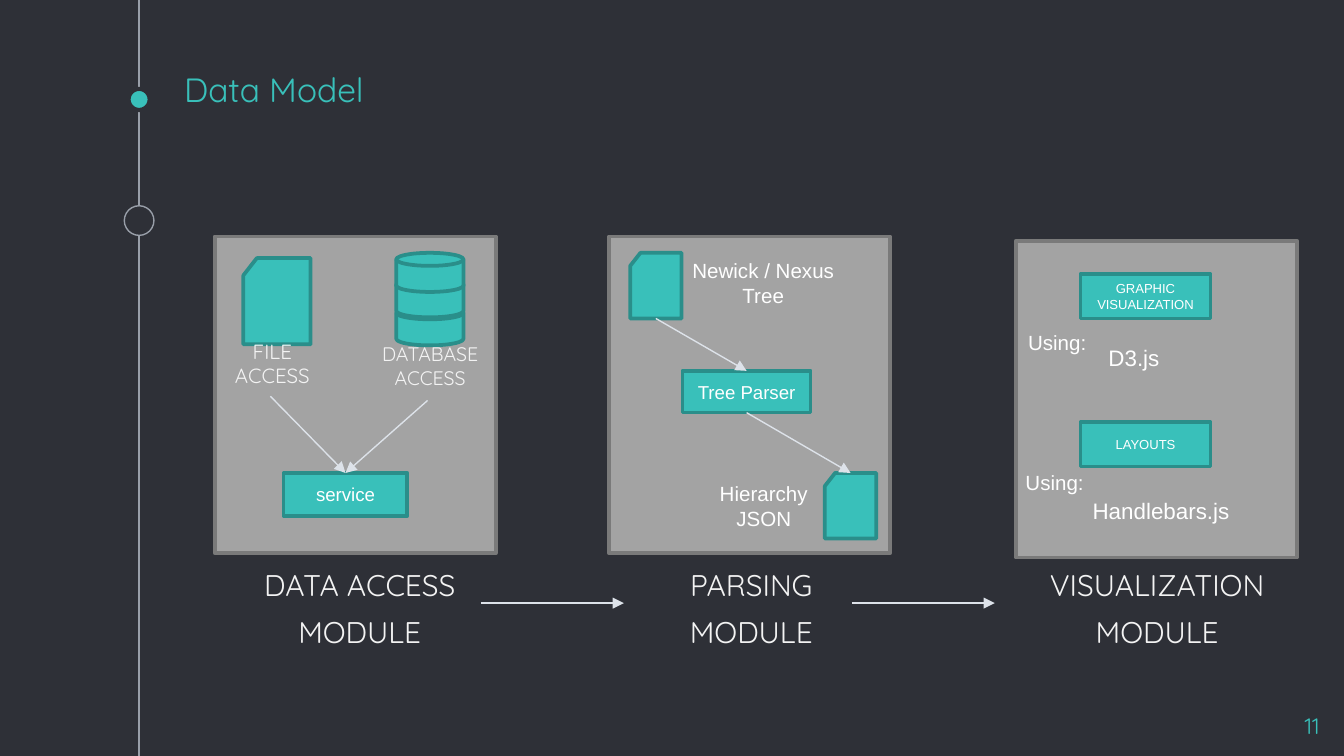
from lxml import etree
from pptx import Presentation
from pptx.dml.color import RGBColor
from pptx.enum.shapes import MSO_CONNECTOR, MSO_SHAPE
from pptx.enum.text import MSO_ANCHOR, MSO_AUTO_SIZE, PP_ALIGN
from pptx.oxml.ns import qn
from pptx.util import Cm, Pt

RECTANGLE, OVAL = MSO_SHAPE.RECTANGLE, MSO_SHAPE.OVAL
CARD, DISK = MSO_SHAPE.FLOWCHART_PUNCHED_TAPE, MSO_SHAPE.FLOWCHART_MAGNETIC_DISK
CARD = MSO_SHAPE.FLOWCHART_CARD
STRAIGHT = MSO_CONNECTOR.STRAIGHT
TOP, MIDDLE, BOTTOM = MSO_ANCHOR.TOP, MSO_ANCHOR.MIDDLE, MSO_ANCHOR.BOTTOM
LEFT, CENTER, RIGHT = PP_ALIGN.LEFT, PP_ALIGN.CENTER, PP_ALIGN.RIGHT
TOP_SIDE, BOTTOM_SIDE = 0, 2

DARK = RGBColor(0x2E, 0x30, 0x37)
TEAL = RGBColor(0x39, 0xC0, 0xBA)
DEEP_TEAL = RGBColor(0x2A, 0x8E, 0x8A)
RAIL_GRAY = RGBColor(0x99, 0x9F, 0xA9)
PANEL_GRAY = RGBColor(0xA3, 0xA3, 0xA3)
PANEL_EDGE = RGBColor(0x7A, 0x7A, 0x7A)
ARROW_GRAY = RGBColor(0xDD, 0xE2, 0xE9)
OFF_WHITE = RGBColor(0xF3, 0xF3, 0xF3)
WHITE = RGBColor(0xFF, 0xFF, 0xFF)

# Content, all lengths in centimetres
TITLE = "Data Model"
SLIDE_NUMBER = "11"
PANEL_SIZE = (5.31, 5.99)
LABEL_TOP, LABEL_SIZE = 10.46, (4.72, 1.85)
MODULES = [  # label lines, panel left, panel top, label left
    (["DATA ACCESS", "MODULE"], 4.06, 4.47, 4.39),
    (["PARSING", "MODULE"], 11.51, 4.47, 11.79),
    (["VISUALIZATION", "MODULE"], 19.2, 4.55, 19.46),
]
FLOW_Y, FLOW_LENGTH, FLOW_STARTS = 11.4, 2.7, (9.09, 16.1)
DISK_TOPS = (5.79, 5.26, 4.78)
BOXES = {  # text: (left, top, width, height), size
    "service": ((5.36, 8.94, 2.34, 0.81), 10),
    "Tree Parser": ((12.9, 7.01, 2.42, 0.79), 10),
    "GRAPHIC VISUALIZATION": ((20.42, 5.18, 2.46, 0.84), 7),
    "LAYOUTS": ((20.42, 7.98, 2.46, 0.84), 7),
}
CARDS = {
    "file": (4.6, 4.88, 1.27, 1.63),
    "tree": (11.91, 4.78, 0.97, 1.24),
    "json": (15.59, 8.94, 0.97, 1.24),
}
SOURCES = [  # text, box, size, start of the arrow to the service
    ("FILE ACCESS", (3.68, 6.15, 2.84, 1.35), 11, (5.11, 7.49)),
    ("DATABASE ACCESS", (6.53, 6.22, 3.1, 1.35), 10.5, (8.08, 7.57)),
]
NOTES = [  # text, box, size, alignment
    ("Newick / Nexus Tree", (12.75, 4.75, 3.35, 1.19), 11, CENTER),
    ("Hierarchy JSON", (13.23, 8.97, 2.41, 1.19), 11, CENTER),
    ("D3.js", (20.7, 6.38, 1.88, 0.77), 12, LEFT),
    ("Handlebars.js", (20.4, 9.27, 3.25, 0.77), 12, LEFT),
    ("Using:", (19.18, 6.1, 1.63, 0.74), 11, LEFT),
    ("Using:", (19.13, 8.76, 1.63, 0.74), 11, LEFT),
]

# Text formats
HEADING = {"name": "Quicksand", "color": TEAL}
CAPTION = {"name": "Quicksand", "color": OFF_WHITE}
BODY = {"name": "Arial", "color": WHITE}
WIDE_INSETS = (0.25, 0.25)
PLAIN_INSETS = (0.25, 0.13)


def write(shape, lines, size, style, align, anchor=TOP, insets=PLAIN_INSETS,
          space_before=0, indent=0):
    frame = shape.text_frame
    horizontal, vertical = map(Cm, insets)
    settings = {
        "word_wrap": True, "auto_size": MSO_AUTO_SIZE.NONE, "vertical_anchor": anchor,
        "margin_left": horizontal, "margin_right": horizontal,
        "margin_top": vertical, "margin_bottom": vertical,
    }
    for name, value in settings.items():
        setattr(frame, name, value)
    for index, line in enumerate(lines):
        paragraph = frame.add_paragraph() if index else frame.paragraphs[0]
        paragraph.alignment = align
        paragraph.space_before = Pt(space_before)
        if indent:
            properties = paragraph._p.get_or_add_pPr()
            properties.set("marL", str(Cm(indent)))
            properties.set("indent", "0")
        run = paragraph.add_run()
        run.text = line
        run.font.name, run.font.size = style["name"], Pt(size)
        run.font.color.rgb = style["color"]


def add_text(slide, box, *args, **formats):
    write(slide.shapes.add_textbox(*map(Cm, box)), *args, **formats)


def add_caption(slide, box, lines, size):
    add_text(slide, box, lines, size, CAPTION, CENTER, insets=WIDE_INSETS,
             space_before=6, indent=0.1)


def add_shape(slide, kind, box, fill=TEAL, edge=DEEP_TEAL, weight=2):
    shape = slide.shapes.add_shape(kind, *map(Cm, box))
    shape.shadow.inherit = False
    shape.fill.solid()
    shape.fill.fore_color.rgb = fill
    shape.line.color.rgb = edge
    shape.line.width = Pt(weight)
    return shape


def add_line(slide, start, end, color=ARROW_GRAY, arrow=True):
    """Each end is a point, or a shape with the number of its side."""
    points = [(0, 0) if hasattr(e[0], "shape_id") else e for e in (start, end)]
    line = slide.shapes.add_connector(STRAIGHT, *(Cm(v) for p in points for v in p))
    for place, join in ((start, line.begin_connect), (end, line.end_connect)):
        if hasattr(place[0], "shape_id"):
            join(*place)
    line.line.color.rgb = color
    line.line.width = Pt(0.75)
    if arrow:
        etree.SubElement(line.line._get_or_add_ln(), qn("a:tailEnd"), type="triangle")
    etree.SubElement(line._element.spPr, qn("a:effectLst"))


presentation = Presentation()
presentation.slide_width, presentation.slide_height = Cm(25.4), Cm(14.29)
slide = presentation.slides.add_slide(presentation.slide_layouts[5])
slide.background.fill.solid()
slide.background.fill.fore_color.rgb = DARK

# Rail on the left
add_line(slide, (2.63, 0), (2.63, 14.29), RAIL_GRAY, arrow=False)
add_shape(slide, OVAL, (2.43, 1.68, 0.4, 0.4), TEAL, DARK, 2.25)
add_shape(slide, OVAL, (2.35, 3.89, 0.56, 0.56), DARK, RAIL_GRAY, 0.75)

# Title and slide number
title = slide.shapes.title
title.left, title.top, title.width, title.height = map(Cm, (3.23, 1.35, 19.05, 0.97))
write(title, [TITLE], 18, HEADING, LEFT, BOTTOM, WIDE_INSETS)
add_text(slide, (23.67, 13.21, 1.52, 0.86), [SLIDE_NUMBER], 12, HEADING, RIGHT,
         insets=WIDE_INSETS)

# Module panels, their labels and the flow between them
for lines, panel_left, panel_top, label_left in MODULES:
    add_shape(slide, RECTANGLE, (panel_left, panel_top, *PANEL_SIZE), PANEL_GRAY, PANEL_EDGE)
    add_caption(slide, (label_left, LABEL_TOP, *LABEL_SIZE), lines, 16)
for x in FLOW_STARTS:
    add_line(slide, (x, FLOW_Y), (x + FLOW_LENGTH, FLOW_Y))

# Boxes, file cards and database disks
boxes = {}
for text, (box, size) in BOXES.items():
    boxes[text] = add_shape(slide, RECTANGLE, box)
    write(boxes[text], [text], size, BODY, CENTER, MIDDLE)
cards = {name: add_shape(slide, CARD, box) for name, box in CARDS.items()}
for top in DISK_TOPS:
    add_shape(slide, DISK, (7.49, top, 1.27, 0.74))

# Sources with arrows to the service, and notes
for text, box, size, start in SOURCES:
    add_caption(slide, box, [text], size)
    add_line(slide, start, (boxes["service"], TOP_SIDE))
for text, box, size, align in NOTES:
    add_text(slide, box, [text], size, BODY, align)

# Parsing steps
parser = boxes["Tree Parser"]
add_line(slide, (cards["tree"], BOTTOM_SIDE), (parser, TOP_SIDE))
add_line(slide, (parser, BOTTOM_SIDE), (cards["json"], TOP_SIDE))

presentation.save("out.pptx")
